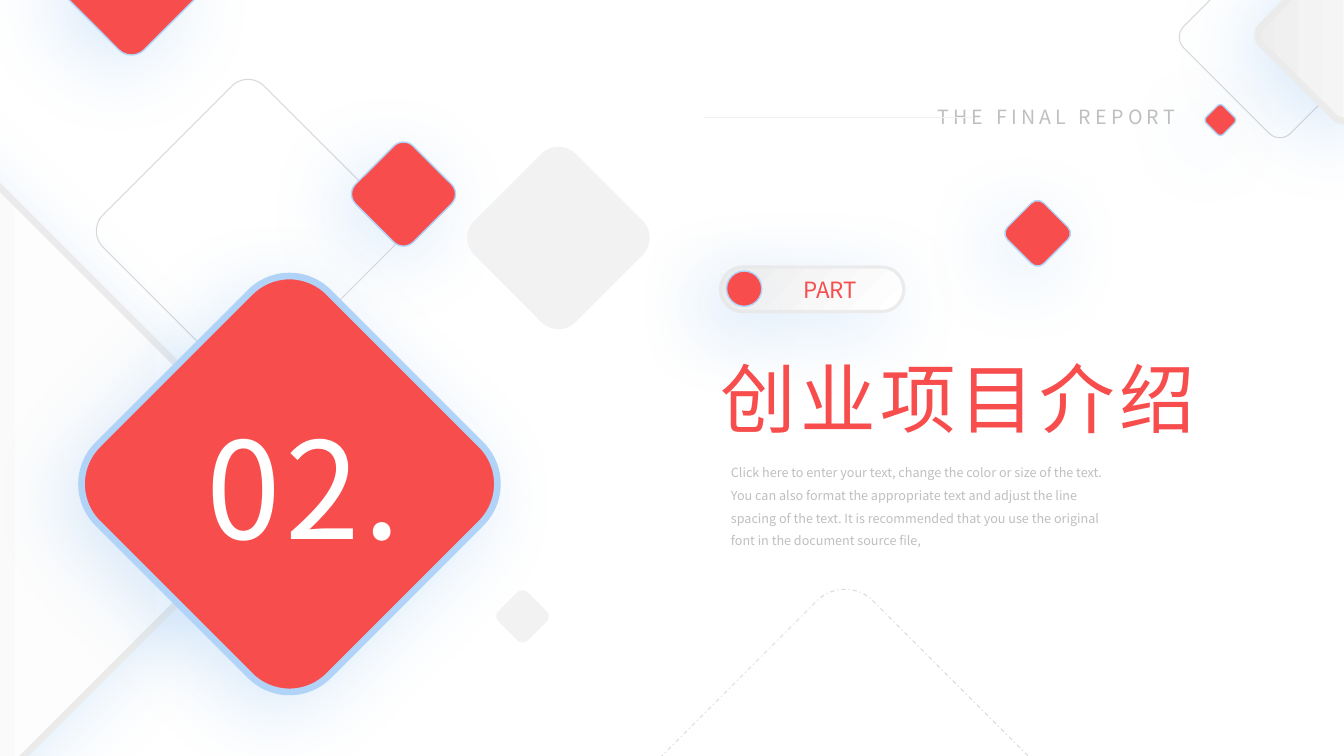
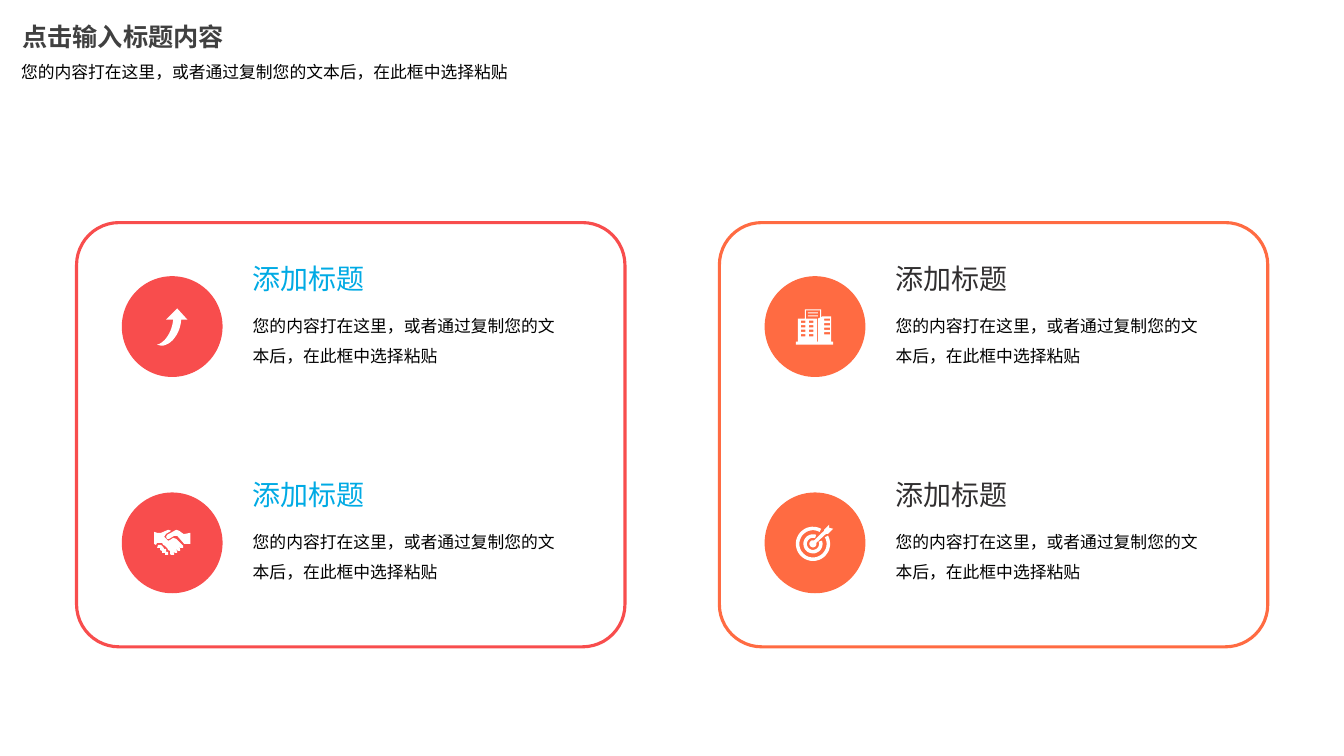
from dataclasses import dataclass
from math import cos, radians, sin
from typing import Optional

from lxml.etree import SubElement
from pptx import Presentation
from pptx.dml.color import RGBColor
from pptx.enum.dml import MSO_LINE
from pptx.enum.shapes import MSO_CONNECTOR, MSO_SHAPE
from pptx.enum.text import MSO_ANCHOR, MSO_AUTO_SIZE, PP_ALIGN
from pptx.oxml.ns import qn
from pptx.util import Cm, Pt

Point = tuple[float, float]
Contour = list[Point]


@dataclass(frozen=True)
class Theme:
    font: str = "Noto Sans CJK SC"
    red: str = "F84D4D"
    orange: str = "FF6B42"
    blue: str = "00AAE4"
    ice: str = "B0D3F7"
    glow: str = "4999E9"
    white: str = "FFFFFF"
    pale: str = "F2F2F2"
    shade: str = "EEEEEE"
    rim: str = "EBEBEB"
    outline: str = "D9D9D9"
    muted: str = "BFBFBF"
    heading: str = "404040"
    charcoal: str = "312F30"
    black: str = "000000"
    number_size: float = 96
    section_size: float = 54
    item_size: float = 20
    title_size: float = 18
    label_size: float = 16
    header_size: float = 14
    text_size: float = 12
    small_size: float = 9


THEME = Theme()
SLIDE_SIZE = (33.87, 19.05)


@dataclass(frozen=True)
class Box:
    left: float
    top: float
    width: float
    height: float

    def lengths(self) -> tuple[Cm, Cm, Cm, Cm]:
        return Cm(self.left), Cm(self.top), Cm(self.width), Cm(self.height)


@dataclass(frozen=True)
class Look:
    fill: Optional[str] = None
    line: Optional[str] = None
    line_width: float = 1
    gradient_end: Optional[float] = None
    shadow: bool = False
    dashed: bool = False


@dataclass(frozen=True)
class TextStyle:
    size: float
    color: str
    bold: bool = False
    tracking: float = 0
    align: PP_ALIGN = PP_ALIGN.LEFT
    anchor: MSO_ANCHOR = MSO_ANCHOR.TOP
    line_spacing: float = 1.0
    side_inset: float = 0.25
    end_inset: float = 0.13


@dataclass(frozen=True)
class Diamond:
    left: float
    top: float
    size: float
    look: Look
    corner: float = 0.17


@dataclass(frozen=True)
class Panel:
    color: str
    heading_color: str
    icons: tuple[list[Contour], list[Contour]]


OUTLINE = Look(line=THEME.outline, line_width=0.75)
DASHED = Look(line=THEME.outline, line_width=0.75, dashed=True)
RED_TILE = Look(THEME.red, THEME.ice, shadow=True)
RED_HERO = Look(THEME.red, THEME.ice, 4.75, shadow=True)
GREY_TILE = Look(THEME.pale)

DIAMONDS = [
    Diamond(3.38, 2.95, 5.74, OUTLINE, 0.1),
    Diamond(-20.96, 0.41, 23.55, Look(line=THEME.rim, line_width=4.75, gradient_end=0.85, shadow=True), 0.1),
    Diamond(30.35, -0.97, 3.81, OUTLINE, 0.1),
    Diamond(32.23, -0.74, 3.25, Look(line=THEME.rim, line_width=4.75, gradient_end=1, shadow=True), 0.1),
    Diamond(3.18, 8.08, 8.23, RED_HERO),
    Diamond(1.98, -1.65, 2.67, RED_TILE),
    Diamond(25.5, 5.23, 1.3, RED_TILE),
    Diamond(9.14, 3.86, 2.06, RED_TILE),
    Diamond(12.27, 4.19, 3.61, GREY_TILE),
    Diamond(12.65, 15.01, 1.04, GREY_TILE),
    Diamond(30.45, 2.72, 0.61, RED_TILE),
    Diamond(16.28, 16.51, 10.03, DASHED, 0.1),
]


def color_of(value: str) -> RGBColor:
    return RGBColor.from_string(value)


def apply_look(shape, look: Look) -> None:
    shape.shadow.inherit = False
    if look.gradient_end is not None:
        shape.fill.gradient()
        shape.fill.gradient_angle = 45
        stops = zip(shape.fill.gradient_stops, (THEME.white, THEME.shade), (0, look.gradient_end))
        for stop, color, position in stops:
            stop.color.rgb = color_of(color)
            stop.position = position
    elif look.fill:
        shape.fill.solid()
        shape.fill.fore_color.rgb = color_of(look.fill)
    else:
        shape.fill.background()
    if look.line:
        shape.line.color.rgb = color_of(look.line)
        shape.line.width = Pt(look.line_width)
        if look.dashed:
            shape.line.dash_style = MSO_LINE.DASH_DOT
    else:
        shape.line.fill.background()
    if look.shadow:
        effects = shape.element.spPr.find(qn("a:effectLst"))
        shadow = SubElement(effects, qn("a:outerShdw"), blurRad=str(Pt(55)), dist=str(Pt(15)),
                            dir=str(135 * 60000), algn="ctr", rotWithShape="0")
        color = SubElement(shadow, qn("a:srgbClr"), val=THEME.glow)
        SubElement(color, qn("a:alpha"), val="20000")


def add_preset(slide, kind: MSO_SHAPE, box: Box, look: Look, corner: Optional[float] = None):
    shape = slide.shapes.add_shape(kind, *box.lengths())
    if corner is not None:
        shape.adjustments[0] = corner
    if look.gradient_end is not None:
        shape.element.spPr.find(qn("a:xfrm")).set("flipH", "1")
    apply_look(shape, look)
    return shape


def add_diamond(slide, diamond: Diamond) -> None:
    box = Box(diamond.left, diamond.top, diamond.size, diamond.size)
    shape = add_preset(slide, MSO_SHAPE.ROUNDED_RECTANGLE, box, diamond.look, diamond.corner)
    shape.rotation = 315


def write_text(shape, text: str, style: TextStyle, unbulleted: bool = False) -> None:
    frame = shape.text_frame
    frame.word_wrap = True
    frame.auto_size = MSO_AUTO_SIZE.NONE
    frame.vertical_anchor = style.anchor
    frame.margin_left = frame.margin_right = Cm(style.side_inset)
    frame.margin_top = frame.margin_bottom = Cm(style.end_inset)
    paragraph = frame.paragraphs[0]
    if unbulleted:
        properties = paragraph._p.get_or_add_pPr()
        properties.set("marL", "0")
        properties.set("indent", "0")
        SubElement(properties, qn("a:buNone"))
    paragraph.alignment = style.align
    paragraph.line_spacing = style.line_spacing
    paragraph.space_before = Pt(0)
    run = paragraph.add_run()
    run.text = text
    run.font.size = Pt(style.size)
    run.font.bold = style.bold
    run.font.name = THEME.font
    run.font.color.rgb = color_of(style.color)
    run_properties = run._r.get_or_add_rPr()
    SubElement(run_properties, qn("a:ea"), typeface=THEME.font)
    if style.tracking:
        run_properties.set("spc", str(int(style.tracking * 100)))


def add_text(slide, box: Box, text: str, style: TextStyle) -> None:
    write_text(slide.shapes.add_textbox(*box.lengths()), text, style)


def fill_placeholder(slide, index: int, box: Box, text: str, style: TextStyle) -> None:
    placeholder = slide.placeholders[index]
    placeholder.left, placeholder.top, placeholder.width, placeholder.height = box.lengths()
    write_text(placeholder, text, style, unbulleted=True)
    placeholder.element.getparent().append(placeholder.element)


def add_rule(slide, start: Point, end: Point) -> None:
    rule = slide.shapes.add_connector(MSO_CONNECTOR.STRAIGHT, *(Cm(value) for value in start + end))
    rule.line.color.rgb = color_of(THEME.pale)
    rule.line.width = Pt(0.5)
    SubElement(rule.element.spPr, qn("a:effectLst"))


def cubic(start: Point, pull: Point, push: Point, end: Point, steps: int = 12) -> Contour:
    def blend(t: float, axis: int) -> float:
        u = 1 - t
        return (u**3 * start[axis] + 3 * u * u * t * pull[axis]
                + 3 * u * t * t * push[axis] + t**3 * end[axis])
    return [(blend(i / steps, 0), blend(i / steps, 1)) for i in range(steps + 1)]


def arc(radius: float, gap: float, steps: int = 40) -> Contour:
    angles = [radians(-45 + gap + (360 - 2 * gap) * i / steps) for i in range(steps + 1)]
    return [(-2 + radius * cos(angle), 1 + radius * sin(angle)) for angle in angles]


def ring(outer: float, inner: float, gap: float) -> Contour:
    return arc(outer, gap) + arc(inner, gap)[::-1]


def rectangle(left: float, top: float, width: float, height: float) -> Contour:
    right, bottom = left + width, top + height
    return [(left, top), (left, bottom), (right, bottom), (right, top)]


ARROW = [[(15, -7), (5, -18), (-6, -7), *cubic((1, -7), (0, 5), (-7, 16), (-15, 18)),
          *cubic((-11, 19), (-1, 19), (8, 7), (9, -7))]]
TARGET = [ring(17, 13.5, 16), ring(9.5, 6, 25),
          [(9, -12), (9, -13), (14, -18), (14, -15), (18, -14), (13, -9), (11, -9), *arc(3.5, 28)]]
BUILDINGS = [
    [(-10, -17), (6, -17), (6, -9), (7, -10), (16, -10), (16, 15), (18, 15), (18, 18),
     (-19, 18), (-19, 15), (-17, 15), (-17, -8), (-10, -8)],
    [(-9, -16), (-9, -8), (2, -8), (2, 15), (3, 15), (3, -8), (5, -9), (5, -16)],
    *[rectangle(-7, top, 10, 1) for top in (-14, -11)],
    *[rectangle(left, top + 4.5 * row, width, 2.2)
      for left, top, width in ((-14, -6, 4.5), (-6, -6, 4.5), (9, -8, 6)) for row in range(4)],
]
HANDSHAKE = [
    [(18, -10), (18, 1), (15, 1), (12, 1), (5, -7), (2, -7), (-3, -4), (-5, -4), (-6, -6),
     (-5, -8), (4, -13), (7, -12), (11, -9), (13, -9)],
    [(-6, 9), (-6, 6), (-8, 6), (-9, 4), (-10, 3), (-11, 2), (-14, 2), (-15, 5), (-12, 5),
     (-12, 7), (-10, 8), (-10, 10), (-7, 10), (-7, 12), (-4, 12), (-4, 9)],
    [(11, 3), (4, -4), (1, -5), (-2, -3), (-4, -2), (-8, -6), (-6, -9), (-1, -12), (-4, -13),
     (-11, -10), (-15, -10), (-18, -11), (-18, 1), (-16, 2), (-15, 0), (-10, 0), (-9, 2),
     (-7, 3), (-6, 4), (-5, 5), (-4, 7), (-2, 8), (-2, 11), (-1, 12), (2, 12), (2, 10), (0, 7),
     (3, 10), (5, 10), (5, 8), (2, 5), (6, 8), (8, 8), (8, 6), (6, 3), (8, 5), (11, 5)],
]


def add_icon(slide, center: Point, contours: list[Contour]) -> None:
    fine = [[(round(x * 10), round(y * 10)) for x, y in contour] for contour in contours]
    builder = slide.shapes.build_freeform(*fine[0][0], scale=Cm(2.54) / 1000)
    for number, contour in enumerate(fine):
        if number:
            builder.move_to(*contour[0])
        builder.add_line_segments(contour[1:], close=True)
    shape = builder.convert_to_shape(Cm(center[0]), Cm(center[1]))
    apply_look(shape, Look(THEME.white))


def build_section(slide) -> None:
    add_text(slide, Box(23.37, 2.51, 7.87, 0.86), "THE FINAL REPORT",
             TextStyle(THEME.header_size, THEME.muted, tracking=3))
    add_rule(slide, (24.49, 2.95), (17.75, 2.95))
    for diamond in DIAMONDS:
        add_diamond(slide, diamond)
    add_preset(slide, MSO_SHAPE.ROUNDED_RECTANGLE, Box(18.16, 6.73, 4.62, 1.12),
               Look(line=THEME.rim, line_width=2.25, gradient_end=1, shadow=True), 0.5)
    add_preset(slide, MSO_SHAPE.OVAL, Box(18.31, 6.83, 0.89, 0.89), RED_TILE)
    add_text(slide, Box(19.79, 6.96, 2.26, 0.69), "PART",
             TextStyle(THEME.label_size, THEME.red, align=PP_ALIGN.CENTER, side_inset=0, end_inset=0))
    add_text(slide, Box(4.47, 10.08, 6.38, 4.37), "02.",
             TextStyle(THEME.number_size, THEME.white, tracking=3, align=PP_ALIGN.CENTER))
    fill_placeholder(slide, 0, Box(17.91, 8.74, 15, 2.57), "创业项目介绍",
                     TextStyle(THEME.section_size, THEME.red, tracking=3))
    fill_placeholder(slide, 1, Box(18.42, 11.53, 9.5, 2.26),
                     "Click here to enter your text, change the color or size of the text. You can also "
                     "format the appropriate text and adjust the line spacing of the text. It is "
                     "recommended that you use the original font in the document source file,",
                     TextStyle(THEME.small_size, THEME.muted, line_spacing=1.5, side_inset=0, end_inset=0))


def build_content(slide) -> None:
    prompt = "您的内容打在这里，或者通过复制您的文本后，在此框中选择粘贴"
    panels = [Panel(THEME.red, THEME.blue, (ARROW, HANDSHAKE)),
              Panel(THEME.orange, THEME.charcoal, (BUILDINGS, TARGET))]
    for column, panel in enumerate(panels):
        left = 1.93 + 16.2 * column
        add_preset(slide, MSO_SHAPE.ROUNDED_RECTANGLE, Box(left, 5.61, 13.82, 10.69),
                   Look(line=panel.color, line_width=2.25), 0.1)
        for row, icon in enumerate(panel.icons):
            top = 6.45 + 5.45 * row
            add_preset(slide, MSO_SHAPE.OVAL, Box(left + 1.14, top + 0.51, 2.54, 2.54), Look(panel.color))
            add_icon(slide, (left + 2.41, top + 1.78), icon)
            add_text(slide, Box(left + 4.19, top, 3.96, 1.12), "添加标题",
                     TextStyle(THEME.item_size, panel.heading_color))
            add_text(slide, Box(left + 4.19, top + 1.12, 8.46, 1.73), prompt,
                     TextStyle(THEME.text_size, THEME.black, line_spacing=1.5))
    fill_placeholder(slide, 0, Box(0.56, 0.38, 5.92, 1.07), "点击输入标题内容",
                     TextStyle(THEME.title_size, THEME.heading, bold=True,
                               anchor=MSO_ANCHOR.MIDDLE, side_inset=0))
    fill_placeholder(slide, 1, Box(0.28, 1.42, 16.94, 0.76), prompt,
                     TextStyle(THEME.text_size, THEME.black))


def main() -> None:
    presentation = Presentation()
    presentation.slide_width, presentation.slide_height = (Cm(value) for value in SLIDE_SIZE)
    for build in (build_section, build_content):
        build(presentation.slides.add_slide(presentation.slide_layouts[1]))
    presentation.save("out.pptx")


if __name__ == "__main__":
    main()
